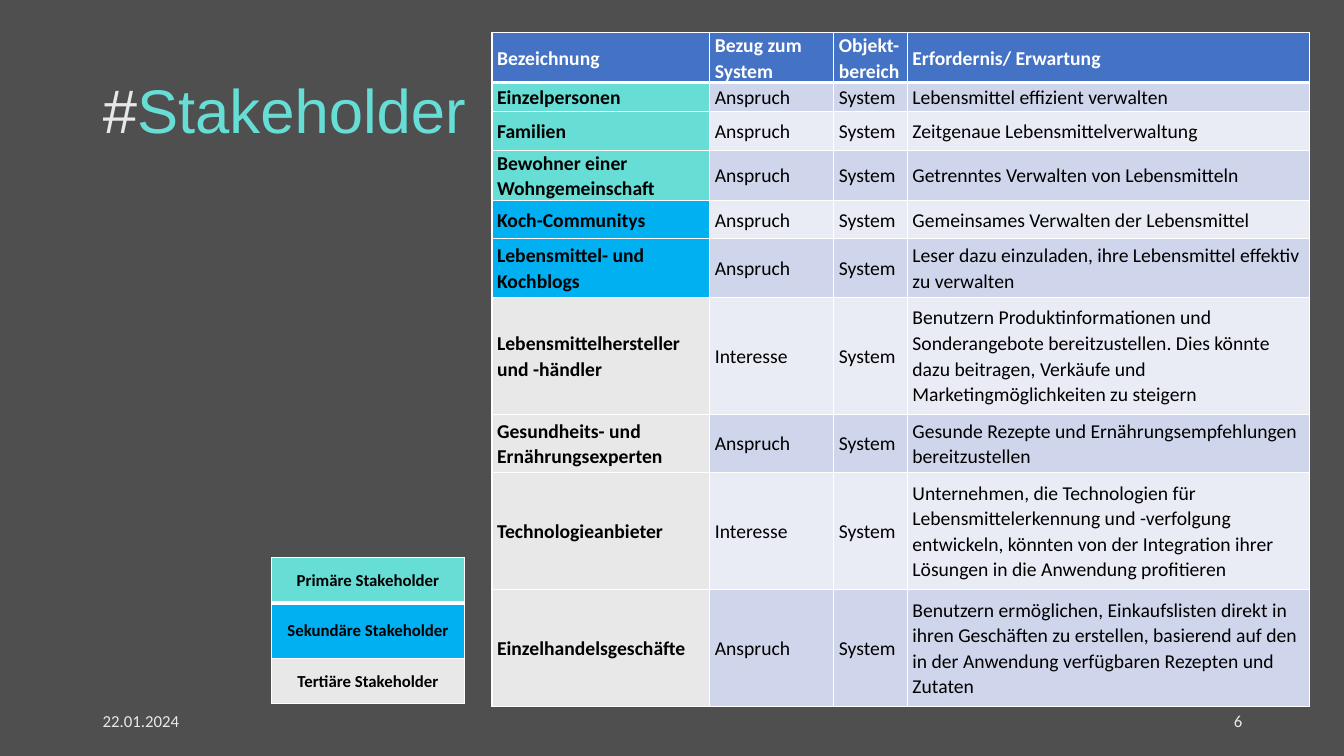
from lxml.etree import SubElement
from pptx import Presentation
from pptx.dml.color import RGBColor
from pptx.enum.text import MSO_ANCHOR, PP_ALIGN
from pptx.oxml import parse_xml
from pptx.oxml.ns import nsdecls
from pptx.util import Inches, Pt

BACKGROUND = RGBColor(0x4F, 0x4F, 0x4F)
LIGHT = RGBColor(0xE8, 0xE8, 0xE8)
TURQUOISE = RGBColor(0x66, 0xDE, 0xD6)
SKY = RGBColor(0x00, 0xB0, 0xF0)
BLUE = RGBColor(0x44, 0x72, 0xC4)
BAND_DARK = RGBColor(0xCF, 0xD5, 0xEA)
BAND_LIGHT = RGBColor(0xE9, 0xEB, 0xF5)
WHITE = RGBColor(0xFF, 0xFF, 0xFF)
BLACK = RGBColor(0x00, 0x00, 0x00)


def add_run(paragraph, text, size, color, font="Calibri", bold=False):
    run = paragraph.add_run()
    run.text = text
    run.font.size = Pt(size)
    run.font.name = font
    run.font.bold = bold
    run.font.color.rgb = color


def format_cell(cell, row, text, fill, size, color, bold, inset, align):
    cell.fill.solid()
    cell.fill.fore_color.rgb = fill
    cell.vertical_anchor = MSO_ANCHOR.MIDDLE
    cell.margin_left = cell.margin_right = Inches(inset)
    cell.margin_top = cell.margin_bottom = 0
    paragraph = cell.text_frame.paragraphs[0]
    paragraph.alignment = align
    paragraph.line_spacing = 1.07
    paragraph.space_after = Pt(8)
    add_run(paragraph, text, size, color, bold=bold)

    # White borders, thicker below the first row
    widths = {"lnL": 1, "lnR": 1, "lnT": 3 if row == 1 else 1, "lnB": 3 if row == 0 else 1}
    for place, (side, width) in enumerate(widths.items()):
        border = parse_xml(
            f'<a:{side} {nsdecls("a")} w="{Pt(width)}"><a:solidFill>'
            f'<a:srgbClr val="{WHITE}"/></a:solidFill></a:{side}>')
        cell._tc.get_or_add_tcPr().insert(place, border)


presentation = Presentation()
presentation.slide_width = Inches(13.33)
presentation.slide_height = Inches(7.5)
slide = presentation.slides.add_slide(presentation.slide_layouts[5])
slide.background.fill.solid()
slide.background.fill.fore_color.rgb = BACKGROUND

# Title
title = slide.shapes.title
title.left, title.top = Inches(0.92), Inches(0.4)
title.width, title.height = Inches(11.5), Inches(1.45)
title.text_frame.vertical_anchor = MSO_ANCHOR.MIDDLE
heading = title.text_frame.paragraphs[0]
heading.alignment = PP_ALIGN.LEFT
heading.line_spacing = 0.9
add_run(heading, "#", 44, LIGHT, "Arial")
add_run(heading, "Stakeholder", 44, TURQUOISE, "Arial")

# Date and slide number
for left, text, align in [(0.92, "22.01.2024", PP_ALIGN.LEFT), (9.42, "6", PP_ALIGN.RIGHT)]:
    footer = slide.shapes.add_textbox(Inches(left), Inches(6.95), Inches(3), Inches(0.4)).text_frame
    footer.word_wrap = True
    footer.vertical_anchor = MSO_ANCHOR.MIDDLE
    footer.paragraphs[0].alignment = align
    add_run(footer.paragraphs[0], text, 12, LIGHT)

# Stakeholder table: row height, group colour, texts
stakeholders = [
    (0.47, BLUE, "Bezeichnung", "Bezug zum System", "Objekt-bereich", "Erfordernis/ Erwartung"),
    (0.29, TURQUOISE, "Einzelpersonen", "Anspruch", "System", "Lebensmittel effizient verwalten"),
    (0.38, TURQUOISE, "Familien", "Anspruch", "System", "Zeitgenaue Lebensmittelverwaltung"),
    (0.47, TURQUOISE, "Bewohner einer Wohngemeinschaft", "Anspruch", "System",
     "Getrenntes Verwalten von Lebensmitteln"),
    (0.38, SKY, "Koch-Communitys", "Anspruch", "System", "Gemeinsames Verwalten der Lebensmittel"),
    (0.58, SKY, "Lebensmittel- und Kochblogs", "Anspruch", "System",
     "Leser dazu einzuladen, ihre Lebensmittel effektiv zu verwalten"),
    (1.16, LIGHT, "Lebensmittelhersteller und -händler", "Interesse", "System",
     "Benutzern Produktinformationen und Sonderangebote bereitzustellen. Dies könnte "
     "dazu beitragen, Verkäufe und Marketingmöglichkeiten zu steigern"),
    (0.58, LIGHT, "Gesundheits- und Ernährungsexperten", "Anspruch", "System",
     "Gesunde Rezepte und Ernährungsempfehlungen bereitzustellen"),
    (1.16, LIGHT, "Technologieanbieter", "Interesse", "System",
     "Unternehmen, die Technologien für Lebensmittelerkennung und -verfolgung "
     "entwickeln, könnten von der Integration ihrer Lösungen in die Anwendung profitieren"),
    (1.16, LIGHT, "Einzelhandelsgeschäfte", "Anspruch", "System",
     "Benutzern ermöglichen, Einkaufslisten direkt in ihren Geschäften zu erstellen, "
     "basierend auf den in der Anwendung verfügbaren Rezepten und Zutaten"),
]
overview = slide.shapes.add_table(
    len(stakeholders), 4, Inches(4.88), Inches(0.32), Inches(8.11), Inches(6.63)).table
for column, width in zip(overview.columns, [2.16, 1.23, 0.73, 3.99]):
    column.width = Inches(width)
for row, (height, group, *texts) in enumerate(stakeholders):
    overview.rows[row].height = Inches(height)
    band = BLUE if row == 0 else BAND_DARK if row % 2 else BAND_LIGHT
    for col, text in enumerate(texts):
        format_cell(overview.cell(row, col), row, text, group if col == 0 else band, 14,
                    WHITE if row == 0 else BLACK, row == 0 or col == 0, 0.05, PP_ALIGN.LEFT)

# Legend table
groups = [
    (0.45, TURQUOISE, "Primäre Stakeholder"),
    (0.55, SKY, "Sekundäre Stakeholder"),
    (0.45, LIGHT, "Tertiäre Stakeholder"),
]
legend = slide.shapes.add_table(
    len(groups), 1, Inches(2.69), Inches(5.53), Inches(1.92), Inches(1.45)).table
for row, (height, group, text) in enumerate(groups):
    legend.rows[row].height = Inches(height)
    format_cell(legend.cell(row, 0), row, text, group, 12, BLACK, True, 0.07, PP_ALIGN.CENTER)

presentation.save("out.pptx")
